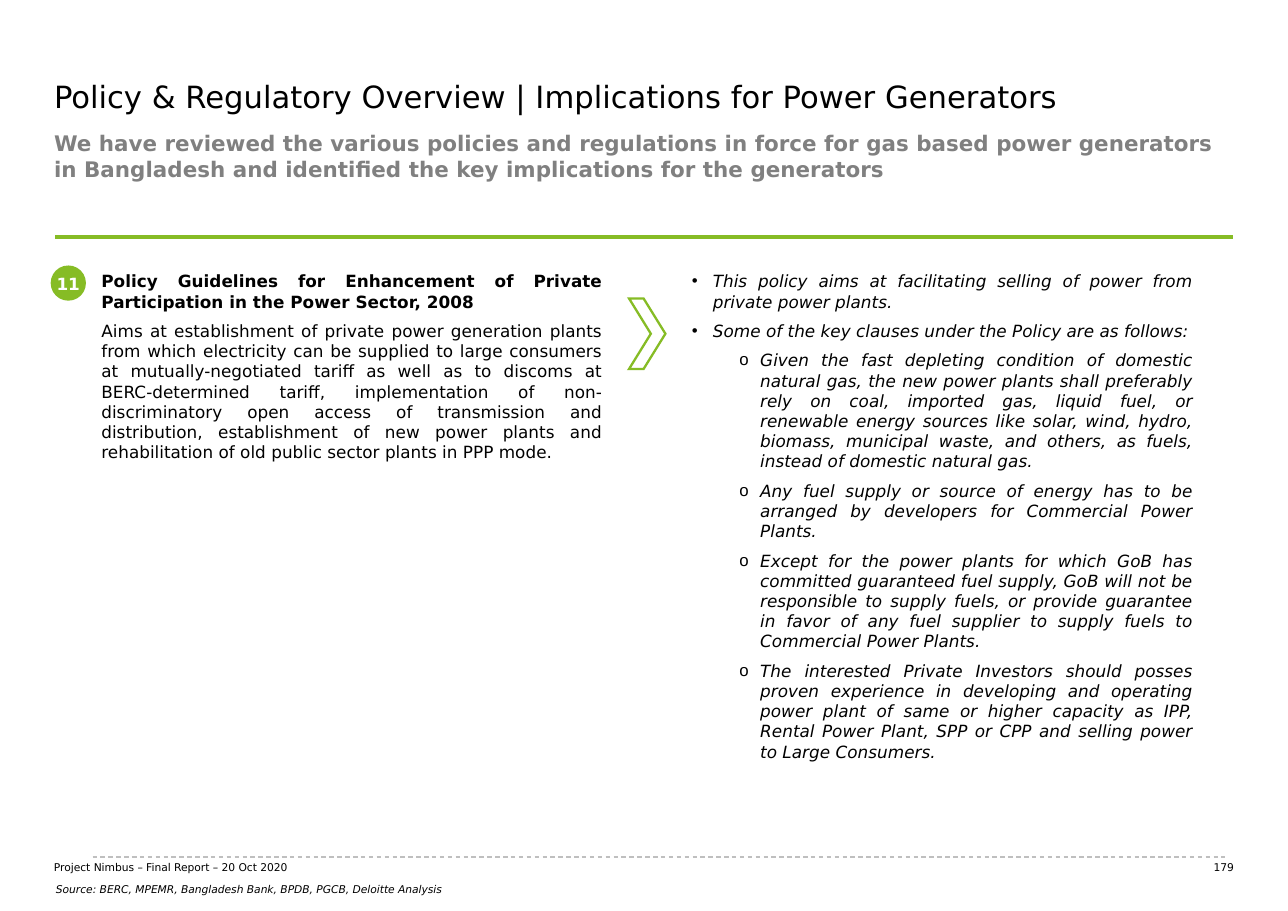
from lxml import etree
from pptx import Presentation
from pptx.dml.color import RGBColor
from pptx.enum.dml import MSO_LINE
from pptx.enum.shapes import MSO_CONNECTOR, MSO_SHAPE
from pptx.enum.text import MSO_ANCHOR, MSO_AUTO_SIZE, PP_ALIGN
from pptx.oxml.ns import qn
from pptx.util import Inches, Pt

LEFT, CENTER, RIGHT, JUSTIFY = PP_ALIGN.LEFT, PP_ALIGN.CENTER, PP_ALIGN.RIGHT, PP_ALIGN.JUSTIFY
TOP, MIDDLE, BOTTOM = MSO_ANCHOR.TOP, MSO_ANCHOR.MIDDLE, MSO_ANCHOR.BOTTOM
STRAIGHT, ELLIPSE, CHEVRON = MSO_CONNECTOR.STRAIGHT, MSO_SHAPE.OVAL, MSO_SHAPE.CHEVRON
DASH, NO_AUTOFIT = MSO_LINE.DASH, MSO_AUTO_SIZE.NONE

FONT = "DejaVu Sans"
GREEN, GREY, RULE_GREY, BLACK, WHITE = "86BC25", "808080", "BFBFBF", "000000", "FFFFFF"
MARGIN, CONTENT_WIDTH = 0.49, 10.71
BULLETS = {0: ("•", 0.19), 1: ("o", 0.62)}
HANGING = 0.19
HEADER_BORDERS = {"lnL": (WHITE, 1), "lnR": (WHITE, 1), "lnT": (GREEN, 3), "lnB": (WHITE, 3)}

TITLE = "Policy & Regulatory Overview | Implications for Power Generators"
SUBTITLE = (
    "We have reviewed the various policies and regulations in force for gas based power "
    "generators in Bangladesh and identified the key implications for the generators"
)
POLICY_NAME = "Policy Guidelines for Enhancement of Private Participation in the Power Sector, 2008"
POLICY_AIM = (
    "Aims at establishment of private power generation plants from which electricity can be supplied "
    "to large consumers at mutually-negotiated tariff as well as to discoms at BERC-determined tariff, "
    "implementation of non-discriminatory open access of transmission and distribution, establishment "
    "of new power plants and rehabilitation of old public sector plants in PPP mode."
)
IMPLICATIONS = [
    (0, "This policy aims at facilitating selling of power from private power plants."),
    (0, "Some of the key clauses under the Policy are as follows:"),
    (1, "Given the fast depleting condition of domestic natural gas, the new power plants shall "
        "preferably rely on coal, imported gas, liquid fuel, or renewable energy sources like solar, "
        "wind, hydro, biomass, municipal waste, and others, as fuels, instead of domestic natural gas."),
    (1, "Any fuel supply or source of energy has to be arranged by developers for Commercial Power Plants."),
    (1, "Except for the power plants for which GoB has committed guaranteed fuel supply, GoB will not be "
        "responsible to supply fuels, or provide guarantee in favor of any fuel supplier to supply fuels "
        "to Commercial Power Plants."),
    (1, "The interested Private Investors should posses proven experience in developing and operating "
        "power plant of same or higher capacity as IPP, Rental Power Plant, SPP or CPP and selling power "
        "to Large Consumers."),
]
FOOTER = "Project Nimbus – Final Report – 20 Oct 2020"
SOURCE = "Source: BERC, MPEMR, Bangladesh Bank, BPDB, PGCB, Deloitte Analysis"


def color(hex_string):
    """Return the colour for a hex string."""
    return RGBColor.from_string(hex_string)


def set_attributes(target, values):
    """Set each attribute named in a dict of format values."""
    for name, value in values.items():
        setattr(target, name, value)


def place(shape, *box):
    """Move and size a shape, in inches."""
    set_attributes(shape, dict(zip(("left", "top", "width", "height"), map(Inches, box))))


def format_frame(frame, anchor=TOP, inset_x=0, inset_y=0):
    """Set wrapping, anchor and insets of a text frame."""
    set_attributes(frame, {
        "word_wrap": True, "auto_size": NO_AUTOFIT, "vertical_anchor": anchor,
        "margin_left": Inches(inset_x), "margin_right": Inches(inset_x),
        "margin_top": Inches(inset_y), "margin_bottom": Inches(inset_y),
    })


def set_bullet(paragraph, level=None):
    """Give a paragraph the bullet of its level, or none."""
    properties = paragraph._p.get_or_add_pPr()
    if level is None:
        properties.set("marL", "0")
        properties.set("indent", "0")
        etree.SubElement(properties, qn("a:buNone"))
        return
    character, indent = BULLETS[level]
    properties.set("marL", str(Inches(indent)))
    properties.set("indent", str(-Inches(HANGING)))
    etree.SubElement(properties, qn("a:buChar")).set("char", character)
    paragraph.level = level


def write(paragraph, text, size, fill=BLACK, align=LEFT, after=0, spacing=1.0, bold=False, italic=False):
    """Write one formatted run into a paragraph."""
    set_attributes(paragraph, {
        "alignment": align, "space_before": Pt(0), "space_after": Pt(after), "line_spacing": spacing,
    })
    run = paragraph.add_run()
    run.text = text
    set_attributes(run.font, {"name": FONT, "size": Pt(size), "bold": bold, "italic": italic})
    run.font.color.rgb = color(fill)


def add_text(slide, box, text, size, anchor=TOP, inset=0, **text_format):
    """Add a text box with one paragraph."""
    shape = slide.shapes.add_textbox(*map(Inches, box))
    format_frame(shape.text_frame, anchor, inset, inset)
    write(shape.text_frame.paragraphs[0], text, size, **text_format)


def fill_body(placeholder, box, items, **text_format):
    """Fill a body placeholder with (level, text, bold) items."""
    place(placeholder, *box)
    frame = placeholder.text_frame
    format_frame(frame, TOP, 0.1, 0.1)
    for index, (level, text, bold) in enumerate(items):
        paragraph = frame.add_paragraph() if index else frame.paragraphs[0]
        set_bullet(paragraph, level)
        write(paragraph, text, 11, align=JUSTIFY, after=6, bold=bold, **text_format)


def add_header_table(slide, box):
    """Add the one-cell table with a green top border, behind the text."""
    frame = slide.shapes.add_table(1, 1, *map(Inches, box))
    set_attributes(frame.table, {"first_row": False, "horz_banding": False})
    cell = frame.table.cell(0, 0)
    set_attributes(cell, {"margin_top": 0, "margin_bottom": 0})
    cell.text_frame.paragraphs[0].font.size = Pt(11)
    cell.fill.background()
    properties = cell._tc.get_or_add_tcPr()
    for index, (side, (line_color, width)) in enumerate(HEADER_BORDERS.items()):
        border = etree.Element(qn(f"a:{side}"), w=str(Pt(width)))
        fill = etree.SubElement(border, qn("a:solidFill"))
        etree.SubElement(fill, qn("a:srgbClr"), val=line_color)
        properties.insert(index, border)
    slide.shapes._spTree.insert(2, frame._element)


def add_dashed_rule(slide, left, right, y):
    """Add the dashed rule above the footer."""
    rule = slide.shapes.add_connector(STRAIGHT, *map(Inches, (left, y, right, y)))
    rule.line.color.rgb = color(RULE_GREY)
    set_attributes(rule.line, {"width": Pt(0.75), "dash_style": DASH})
    etree.SubElement(rule._element.spPr, qn("a:effectLst"))


def add_filled_shape(slide, kind, box, fill):
    """Add a preset shape with a plain fill, no line and no shadow."""
    shape = slide.shapes.add_shape(kind, *map(Inches, box))
    shape.shadow.inherit = False
    shape.fill.solid()
    shape.fill.fore_color.rgb = color(fill)
    shape.line.fill.background()
    return shape


def add_badge(slide, number):
    """Add the round number badge of the policy."""
    badge = add_filled_shape(slide, ELLIPSE, (0.46, 2.41, 0.32, 0.32), GREEN)
    format_frame(badge.text_frame, MIDDLE)
    write(badge.text_frame.paragraphs[0], number, 11, WHITE, CENTER, spacing=1.06, bold=True)


def add_chevron(slide):
    """Add the outlined chevron with sharp corners between the columns."""
    chevron = add_filled_shape(slide, CHEVRON, (5.71, 2.71, 0.33, 0.64), WHITE)
    chevron.adjustments[0] = 0.6
    chevron.line.color.rgb = color(GREEN)
    chevron.line.width = Pt(1.5)
    etree.SubElement(chevron._element.spPr.find(qn("a:ln")), qn("a:miter"), lim="800000")


def main():
    """Build the slide and save it."""
    presentation = Presentation()
    presentation.slide_width, presentation.slide_height = Inches(11.69), Inches(8.27)
    slide = presentation.slides.add_slide(presentation.slide_layouts.get_by_name("Two Content"))
    title, policy, implications = slide.placeholders

    place(title, MARGIN, 0.71, CONTENT_WIDTH, 0.47)
    format_frame(title.text_frame)
    write(title.text_frame.paragraphs[0], TITLE, 20)
    add_text(slide, (MARGIN, 1.18, CONTENT_WIDTH, 0.57), SUBTITLE, 14, fill=GREY, bold=True)
    add_header_table(slide, (MARGIN, 2.15, CONTENT_WIDTH, 0.33))

    add_badge(slide, "11")
    fill_body(policy, (0.82, 2.36, 4.75, 1.95), [(None, POLICY_NAME, True), (None, POLICY_AIM, False)])
    add_chevron(slide)
    fill_body(implications, (6.18, 2.36, 4.75, 4.75),
              [(level, text, False) for level, text in IMPLICATIONS], italic=True)

    add_dashed_rule(slide, 0.84, 11.12, 7.78)
    add_text(slide, (MARGIN, 7.81, 4.83, 0.12), FOOTER, 7, anchor=BOTTOM)
    add_text(slide, (10.75, 7.81, 0.45, 0.12), "179", 7, align=RIGHT)
    add_text(slide, (0.41, 7.94, 10.87, 0.25), SOURCE, 7, MIDDLE, 0.1, spacing=1.06, italic=True)
    presentation.save("out.pptx")


if __name__ == "__main__":
    main()
